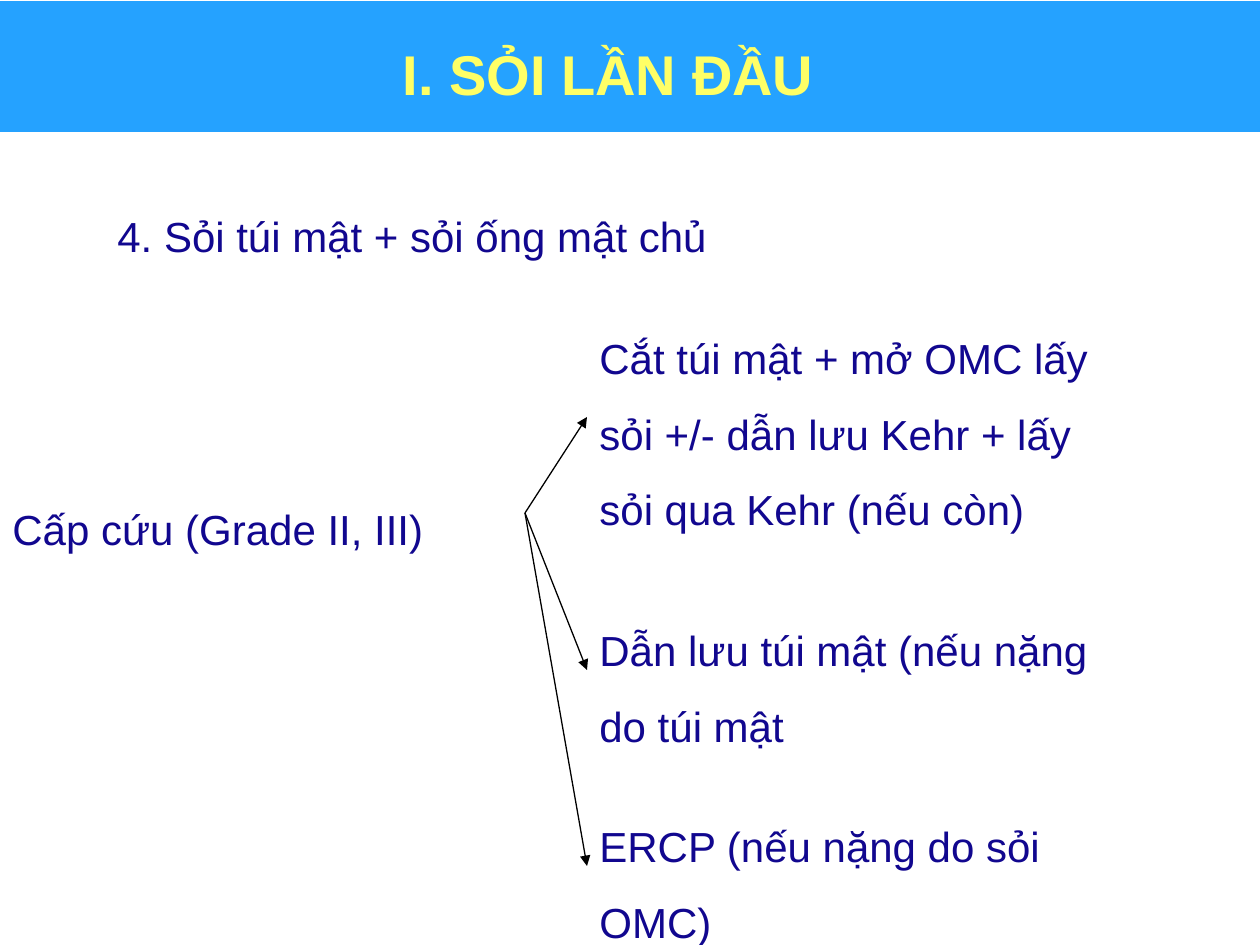
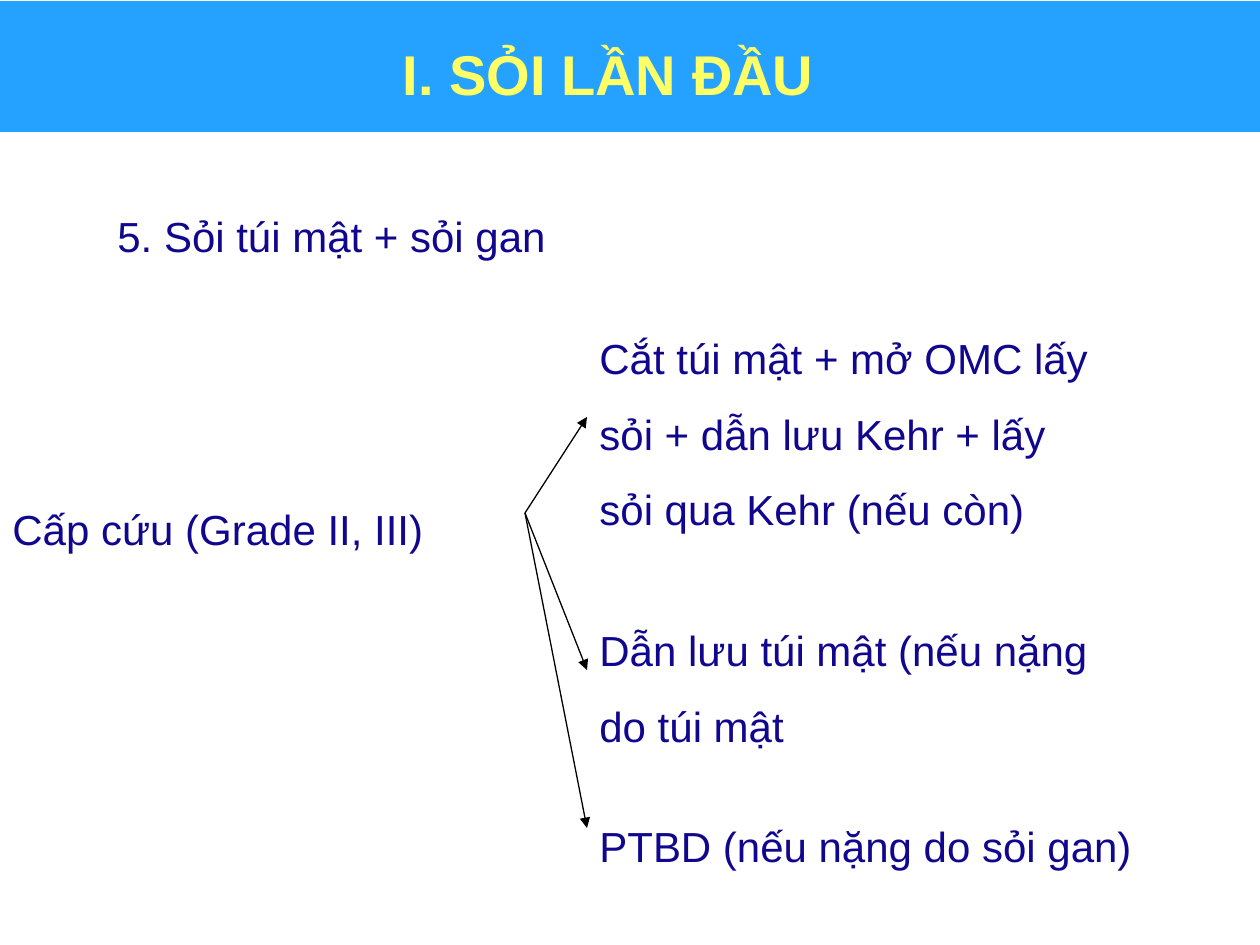
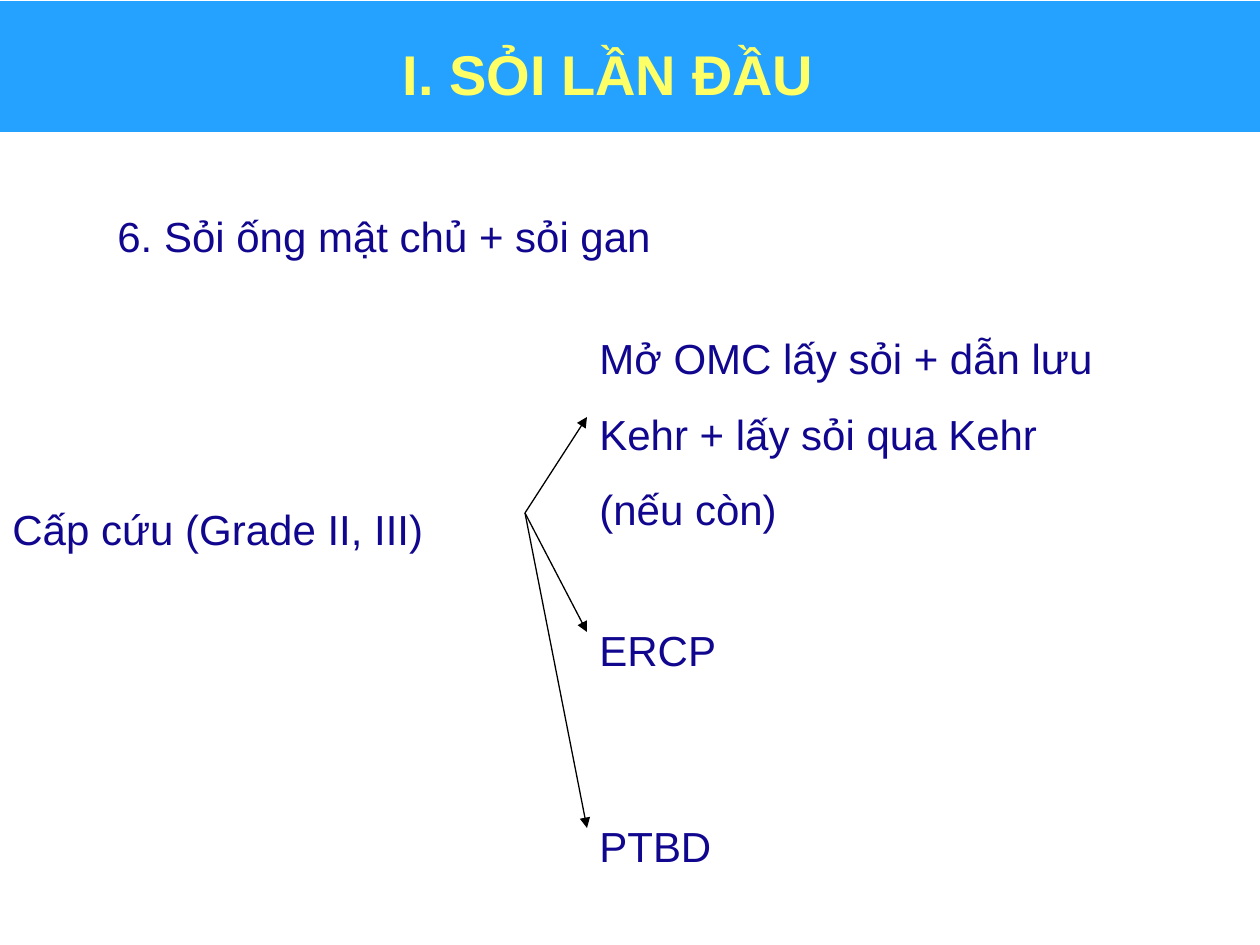
from dataclasses import dataclass

from lxml.etree import SubElement
from pptx import Presentation
from pptx.dml.color import RGBColor
from pptx.enum.shapes import MSO_CONNECTOR, MSO_SHAPE
from pptx.enum.text import MSO_ANCHOR, PP_ALIGN
from pptx.oxml.ns import qn
from pptx.slide import Slide
from pptx.util import Emu, Pt

PX_PER_INCH = 126
FONT = "Arial"
BAND, WHITE, YELLOW, NAVY, BLACK = "25A2FF", "FFFFFF", "FFFF66", "11078F", "000000"
TITLE = "I. SỎI LẦN ĐẦU"
CONDITION = "Cấp cứu (Grade II, III)"
FORK = (525, 513)
OPTION_LEFT = 587


@dataclass(frozen=True)
class Slot:
    """Place of one treatment option in the right column."""
    top: int
    width: int


@dataclass(frozen=True)
class Option:
    """A treatment option and the number of lines it takes."""
    text: str
    lines: int = 1


@dataclass(frozen=True)
class Case:
    """One kind of stones with its treatment options."""
    heading: str
    options: tuple[Option, ...]


SLOTS = (Slot(301, 525), Slot(593, 525), Slot(789, 575))
DRAINAGE = Option("Dẫn lưu túi mật (nếu nặng do túi mật", 2)
CASES = (
    Case("4. Sỏi túi mật + sỏi ống mật chủ", (
        Option("Cắt túi mật + mở OMC lấy sỏi +/- dẫn lưu Kehr + lấy sỏi qua Kehr (nếu còn)", 3),
        DRAINAGE,
        Option("ERCP (nếu nặng do sỏi OMC)", 2),
    )),
    Case("5. Sỏi túi mật + sỏi gan", (
        Option("Cắt túi mật + mở OMC lấy sỏi + dẫn lưu Kehr + lấy sỏi qua Kehr (nếu còn)", 3),
        DRAINAGE,
        Option("PTBD (nếu nặng do sỏi gan)"),
    )),
    Case("6. Sỏi ống mật chủ + sỏi gan", (
        Option("Mở OMC lấy sỏi + dẫn lưu Kehr + lấy sỏi qua Kehr (nếu còn)", 3),
        Option("ERCP"),
        Option("PTBD"),
    )),
)


def px(n: int) -> Emu:
    """Turn pixels into EMU."""
    return Emu(round(n * 914400 / PX_PER_INCH))


def color(value: str) -> RGBColor:
    """Turn a hex string into a colour."""
    return RGBColor.from_string(value)


def box_height(lines: int) -> int:
    """Return the height of a text box holding the given number of lines."""
    return 79 + 153 * (lines - 1) // 2


def add_text(s: Slide, text: str, left: int, top: int, width: int, height: int, *,
             size: int = 24, fill: str = NAVY, bold: bool = False, spacing: float = 1.5,
             align: PP_ALIGN = PP_ALIGN.LEFT, anchor: MSO_ANCHOR = MSO_ANCHOR.TOP) -> None:
    """Add a wrapped text box with one formatted paragraph."""
    tf = s.shapes.add_textbox(px(left), px(top), px(width), px(height)).text_frame
    tf.word_wrap = True
    tf.vertical_anchor = anchor
    p = tf.paragraphs[0]
    p.alignment = align
    p.line_spacing = spacing
    r = p.add_run()
    r.text = text
    r.font.name = FONT
    r.font.size = Pt(size)
    r.font.bold = bold
    r.font.color.rgb = color(fill)


def add_arrow(s: Slide, start: tuple[int, int], end: tuple[int, int]) -> None:
    """Add a thin black arrow."""
    sp = s.shapes.add_connector(MSO_CONNECTOR.STRAIGHT, *map(px, start + end))
    sp.line.color.rgb = color(BLACK)
    sp.line.width = Pt(0.75)
    SubElement(sp.line._get_or_add_ln(), qn("a:tailEnd"), type="triangle")
    SubElement(sp._element.spPr, qn("a:effectLst"))


def add_title_band(s: Slide) -> None:
    """Add the blue band and the shared title."""
    sp = s.shapes.add_shape(MSO_SHAPE.RECTANGLE, px(-9), px(0), px(1271), px(133))
    sp.shadow.inherit = False
    sp.fill.solid()
    sp.fill.fore_color.rgb = color(BAND)
    sp.line.color.rgb = color(WHITE)
    sp.line.width = Pt(0.75)
    add_text(s, TITLE, 73, 21, 1071, 105, size=32, fill=YELLOW, bold=True, spacing=1.0,
             align=PP_ALIGN.CENTER, anchor=MSO_ANCHOR.MIDDLE)


def add_case(s: Slide, case: Case) -> None:
    """Draw one case as a fork from the condition to its options."""
    add_title_band(s)
    add_text(s, case.heading, 105, 179, 1102, box_height(2))
    add_text(s, CONDITION, 0, 472, 525, box_height(1))
    for slot, option in zip(SLOTS, case.options):
        height = box_height(option.lines)
        add_text(s, option.text, OPTION_LEFT, slot.top, slot.width, height)
        add_arrow(s, FORK, (OPTION_LEFT, slot.top + height // 2))


def main() -> None:
    """Build the deck and save it."""
    prs = Presentation()
    prs.slide_width, prs.slide_height = px(1260), px(945)
    for case in CASES:
        add_case(prs.slides.add_slide(prs.slide_layouts[6]), case)
    prs.save("out.pptx")


if __name__ == "__main__":
    main()
